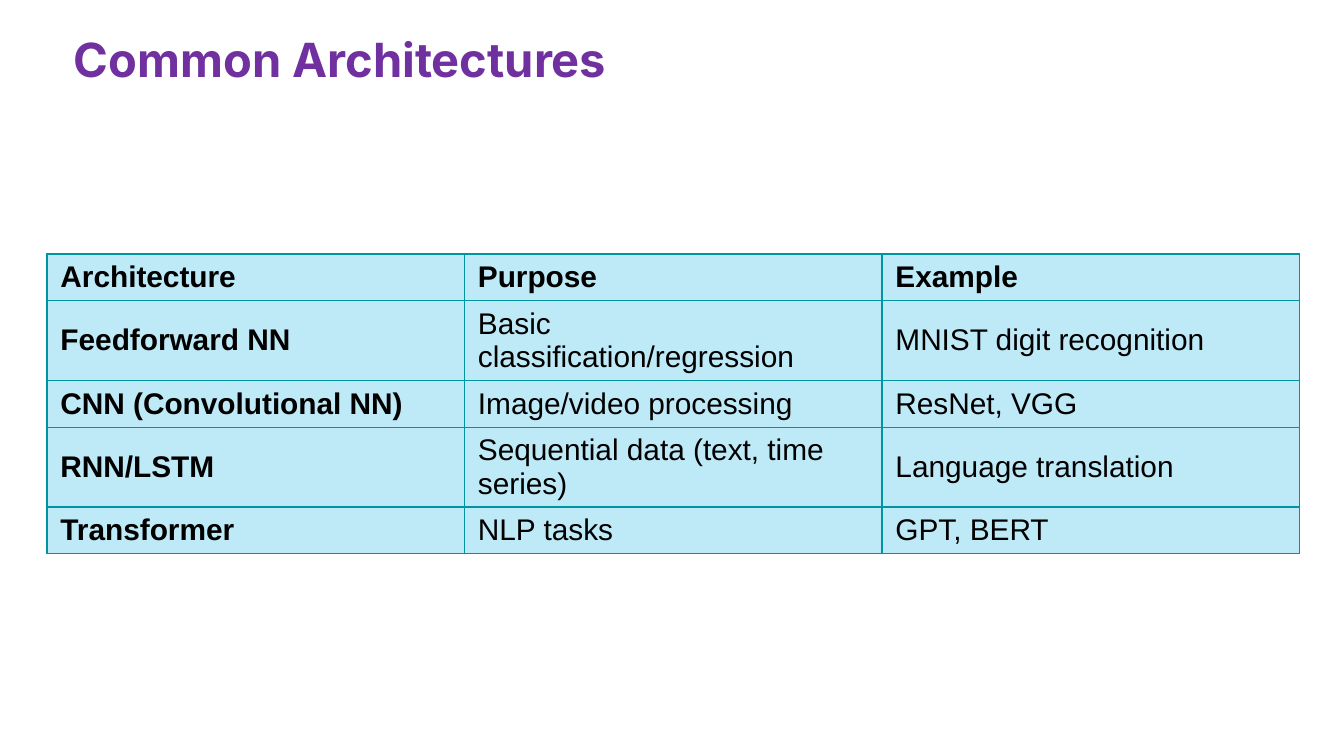
from lxml.etree import SubElement
from pptx import Presentation
from pptx.dml.color import RGBColor
from pptx.enum.text import MSO_ANCHOR, PP_ALIGN
from pptx.oxml.ns import qn
from pptx.util import Inches, Pt

TITLE = "Common Architectures"
ROWS = [
    ("Architecture", "Purpose", "Example"),
    ("Feedforward NN", "Basic classification/regression", "MNIST digit recognition"),
    ("CNN (Convolutional NN)", "Image/video processing", "ResNet, VGG"),
    ("RNN/LSTM", "Sequential data (text, time series)", "Language translation"),
    ("Transformer", "NLP tasks", "GPT, BERT"),
]
COLORS = {"title": "7030A0", "text": "000000", "fill": "BEE9F6", "border": "0094A3"}
SLIDE_WIDTH = 10
TABLE_WIDTH = 9.32
ROW_HEIGHT = 0.33


def style_text(paragraph, font_name, size, color, bold):
    paragraph.alignment = PP_ALIGN.LEFT
    for span in paragraph.runs:
        span.font.name = font_name
        span.font.size = Pt(size)
        span.font.bold = bold
        span.font.color.rgb = RGBColor.from_string(COLORS[color])


def add_borders(cell):
    properties = cell._tc.get_or_add_tcPr()
    for position, side in enumerate(("a:lnL", "a:lnR", "a:lnT", "a:lnB")):
        line = SubElement(properties, qn(side), w=str(Pt(0.75)))
        fill = SubElement(line, qn("a:solidFill"))
        SubElement(fill, qn("a:srgbClr"), val=COLORS["border"])
        properties.insert(position, line)


def add_title(page):
    box = page.shapes.title
    box.left, box.top = Inches(0.45), Inches(0.13)
    box.width, box.height = Inches(9.11), Inches(0.69)
    frame = box.text_frame
    frame.text = TITLE
    frame.vertical_anchor = MSO_ANCHOR.TOP
    frame.margin_left = frame.margin_right = Inches(0.1)
    frame.margin_top = frame.margin_bottom = Inches(0.1)
    style_text(frame.paragraphs[0], "Inter", 25.2, "title", True)


def add_architecture_table(page):
    row_count, column_count = len(ROWS), len(ROWS[0])
    frame = page.shapes.add_table(
        row_count, column_count, Inches(0.35), Inches(1.89),
        Inches(TABLE_WIDTH), Inches(ROW_HEIGHT * row_count))
    table = frame.table
    for row_index, values in enumerate(ROWS):
        for column_index, value in enumerate(values):
            cell = table.cell(row_index, column_index)
            cell.text = value
            cell.vertical_anchor = MSO_ANCHOR.MIDDLE
            cell.fill.solid()
            cell.fill.fore_color.rgb = RGBColor.from_string(COLORS["fill"])
            add_borders(cell)
            bold = row_index == 0 or column_index == 0
            style_text(cell.text_frame.paragraphs[0], "Arial", 16, "text", bold)


def main():
    deck = Presentation()
    deck.slide_width = Inches(SLIDE_WIDTH)
    deck.slide_height = Inches(SLIDE_WIDTH * 9 / 16)
    page = deck.slides.add_slide(deck.slide_layouts[5])
    add_title(page)
    add_architecture_table(page)
    deck.save("out.pptx")


if __name__ == "__main__":
    main()
